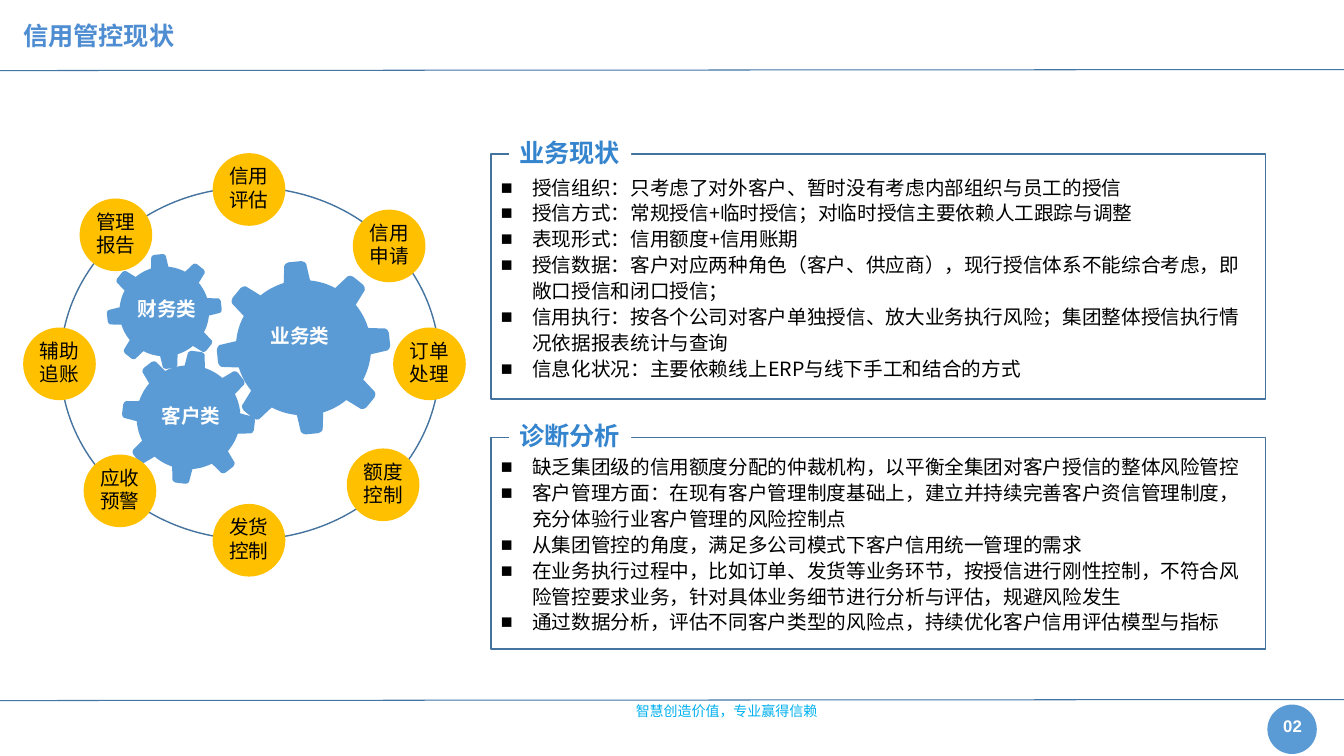
from dataclasses import dataclass
from math import cos, radians, sin

from lxml.etree import SubElement
from pptx import Presentation
from pptx.dml.color import RGBColor
from pptx.enum.shapes import MSO_CONNECTOR, MSO_SHAPE
from pptx.enum.text import MSO_ANCHOR, MSO_AUTO_SIZE, PP_ALIGN
from pptx.oxml.ns import qn
from pptx.util import Inches, Pt

COLORS = {
    "blue": "5B9BD5", "outline": "43739E", "rule": "4276A6", "amber": "FFC000",
    "heading": "3484CE", "slogan": "00B0F0", "white": "FFFFFF", "black": "000000",
}
TITLE_GRADIENT = [(0, "74A3DB"), (49, "4E8DD1"), (50, "3C81C0"), (92, "3A73A7"), (100, "3971A4")]
CJK_FONT = "Noto Sans CJK SC"
NODE_SIZE = 0.7
# Outline of one tooth and the valley after it: share of the radius, degrees from the tooth's middle
TOOTH = [(0.78, -11.3), (0.97, -7.5), (0.99, -6.2), (1, -4.2),
         (1, 4.2), (0.99, 6.2), (0.97, 7.5), (0.78, 11.3)]
VALLEY = [(0.78, 15), (0.78, 19), (0.78, 22.5), (0.78, 26), (0.78, 30)]
TEETH = 8


@dataclass
class Gear:
    x: float
    y: float
    radius: float
    first_tooth: float


@dataclass
class Label:
    text: str
    left: float
    top: float


@dataclass
class Panel:
    heading: str
    top: float
    height: float
    heading_top: float
    points: list[str]


GEARS = [Gear(1.87, 4.14, 0.66, 7), Gear(1.63, 3.09, 0.57, -6), Gear(3.01, 3.45, 0.86, -5.7)]
GEAR_LABELS = [Label("财务类", 1.26, 2.9), Label("客户类", 1.5, 3.96), Label("业务类", 2.58, 3.16)]
STEPS = [
    Label("信用评估", 2.12, 1.53), Label("发货控制", 2.12, 5.01),
    Label("订单处理", 3.91, 3.26), Label("辅助追账", 0.24, 3.26),
    Label("信用申请", 3.51, 2.09), Label("额度控制", 3.45, 4.46),
    Label("应收预警", 0.84, 4.52), Label("管理报告", 0.8, 1.98),
]
PANELS = [
    Panel("业务现状", 1.53, 2.43, 1.31, [
        "授信组织：只考虑了对外客户、暂时没有考虑内部组织与员工的授信",
        "授信方式：常规授信+临时授信；对临时授信主要依赖人工跟踪与调整",
        "表现形式：信用额度+信用账期",
        "授信数据：客户对应两种角色（客户、供应商），现行授信体系不能综合考虑，即敞口授信和闭口授信；",
        "信用执行：按各个公司对客户单独授信、放大业务执行风险；集团整体授信执行情况依据报表统计与查询",
        "信息化状况：主要依赖线上ERP与线下手工和结合的方式",
    ]),
    Panel("诊断分析", 4.34, 2.1, 4.12, [
        "缺乏集团级的信用额度分配的仲裁机构，以平衡全集团对客户授信的整体风险管控",
        "客户管理方面：在现有客户管理制度基础上，建立并持续完善客户资信管理制度，充分体验行业客户管理的风险控制点",
        "从集团管控的角度，满足多公司模式下客户信用统一管理的需求",
        "在业务执行过程中，比如订单、发货等业务环节，按授信进行刚性控制，不符合风险管控要求业务，针对具体业务细节进行分析与评估，规避风险发生",
        "通过数据分析，评估不同客户类型的风险点，持续优化客户信用评估模型与指标",
    ]),
]


def color(name: str) -> RGBColor:
    return RGBColor.from_string(COLORS[name])


def paint(shape, fill: str | None = None, line: str | None = None, weight: float = 1):
    shape.shadow.inherit = False
    if fill:
        shape.fill.solid()
        shape.fill.fore_color.rgb = color(fill)
    else:
        shape.fill.background()
    if line:
        shape.line.color.rgb = color(line)
        shape.line.width = Pt(weight)
    else:
        shape.line.fill.background()
    return shape


def add_form(slide, kind, left: float, top: float, width: float, height: float, **look):
    shape = slide.shapes.add_shape(kind, Inches(left), Inches(top), Inches(width), Inches(height))
    return paint(shape, **look)


def add_box(slide, left: float, top: float, width: float, height: float):
    return slide.shapes.add_textbox(Inches(left), Inches(top), Inches(width), Inches(height))


def add_bullet(paragraph) -> None:
    properties = paragraph._p.get_or_add_pPr()
    properties.set("marL", str(Inches(0.31)))
    properties.set("indent", str(-Inches(0.31)))
    bullet_color = SubElement(properties, qn("a:buClr"))
    SubElement(bullet_color, qn("a:srgbClr"), val=COLORS["black"])
    SubElement(properties, qn("a:buFont"), typeface="Arial")
    SubElement(properties, qn("a:buChar"), char="■")


def write(shape, *texts: str, size: float = 14, ink: str = "black", font: str = CJK_FONT,
          bold: bool = False, align=PP_ALIGN.CENTER, anchor=MSO_ANCHOR.TOP, wrap: bool = True,
          grow: bool = True, spacing: float | None = None, bullets: bool = False):
    frame = shape.text_frame
    frame.word_wrap = wrap
    frame.vertical_anchor = anchor
    frame.auto_size = MSO_AUTO_SIZE.SHAPE_TO_FIT_TEXT if grow else MSO_AUTO_SIZE.NONE
    for index, text in enumerate(texts):
        paragraph = frame.add_paragraph() if index else frame.paragraphs[0]
        paragraph.alignment = align
        if spacing:
            paragraph.line_spacing = spacing
        if bullets:
            add_bullet(paragraph)
        run = paragraph.add_run()
        run.text = text
        run.font.name = font
        run.font.size = Pt(size)
        run.font.bold = bold
        run.font.color.rgb = color(ink)
    return run


def shade(run, stops: list[tuple[int, str]]) -> None:
    run.font.fill.gradient()
    run.font.fill.gradient_angle = 270
    stop_list = run._r.rPr.find(".//" + qn("a:gsLst"))
    for old_stop in list(stop_list):
        stop_list.remove(old_stop)
    for percent, value in stops:
        stop = SubElement(stop_list, qn("a:gs"), pos=str(percent * 1000))
        SubElement(stop, qn("a:srgbClr"), val=value)


def add_rule(slide, start_y: float, end_y: float) -> None:
    rule = slide.shapes.add_connector(
        MSO_CONNECTOR.STRAIGHT, 0, Inches(start_y), Inches(13.33), Inches(end_y))
    rule.line.color.rgb = color("rule")
    rule.line.width = Pt(0.75)
    SubElement(rule._element.spPr, qn("a:effectLst"))


def add_gear(slide, gear: Gear) -> None:
    outline = []
    for tooth in range(TEETH):
        middle = gear.first_tooth + tooth * 360 / TEETH
        for share, offset in TOOTH + VALLEY:
            angle = radians(middle + offset)
            outline.append((Inches(gear.x + gear.radius * share * cos(angle)),
                            Inches(gear.y + gear.radius * share * sin(angle))))
    builder = slide.shapes.build_freeform(*outline[0])
    builder.add_line_segments(outline[1:], close=True)
    paint(builder.convert_to_shape(), fill="blue")


def add_step(slide, step: Label) -> None:
    add_form(slide, MSO_SHAPE.OVAL, step.left, step.top, NODE_SIZE, NODE_SIZE,
             fill="amber", line="amber", weight=1.5)
    write(add_box(slide, step.left, step.top + 0.05, NODE_SIZE, 0.57), step.text)


def add_panel(slide, panel: Panel) -> None:
    body = add_form(slide, MSO_SHAPE.RECTANGLE, 4.87, panel.top, 7.68, panel.height,
                    fill="white", line="outline")
    write(body, *panel.points, align=PP_ALIGN.LEFT, anchor=MSO_ANCHOR.MIDDLE,
          grow=False, spacing=1.1, bullets=True)
    heading = add_form(slide, MSO_SHAPE.RECTANGLE, 5.05, panel.heading_top, 1.21, 0.4, fill="white")
    write(heading, panel.heading, size=18, ink="heading", bold=True, align=PP_ALIGN.LEFT)


def main() -> None:
    deck = Presentation()
    deck.slide_width, deck.slide_height = Inches(13.33), Inches(7.5)
    slide = deck.slides.add_slide(deck.slide_layouts[6])

    # Frame: footer, rules and title
    add_form(slide, MSO_SHAPE.OVAL, 12.57, 6.99, 0.49, 0.49, fill="blue")
    write(add_box(slide, 4.91, 6.92, 4.59, 0.27), "智慧创造价值，专业赢得信赖", size=10, ink="slogan")
    add_rule(slide, 6.95, 6.94)
    add_rule(slide, 0.7, 0.69)
    title = write(add_box(slide, 0.13, 0.19, 9.19, 0.37), "信用管控现状", size=18, font="Calibri",
                  bold=True, align=PP_ALIGN.LEFT, anchor=MSO_ANCHOR.MIDDLE, spacing=0.9)
    shade(title, TITLE_GRADIENT)

    # Gears inside the credit cycle
    for gear in GEARS:
        add_gear(slide, gear)
    for label in GEAR_LABELS:
        write(add_box(slide, label.left, label.top, 0.79, 0.34), label.text,
              ink="white", bold=True, wrap=False)
    add_form(slide, MSO_SHAPE.FLOWCHART_CONNECTOR, 0.6, 1.86, 3.76, 3.49, line="outline")
    for step in STEPS:
        add_step(slide, step)

    # Findings and page number
    for panel in PANELS:
        add_panel(slide, panel)
    write(add_box(slide, 12.51, 6.98, 0.62, 0.45), "02", size=12, ink="white", font="Arial",
          bold=True, anchor=MSO_ANCHOR.MIDDLE, grow=False)
    deck.save("out.pptx")


if __name__ == "__main__":
    main()
